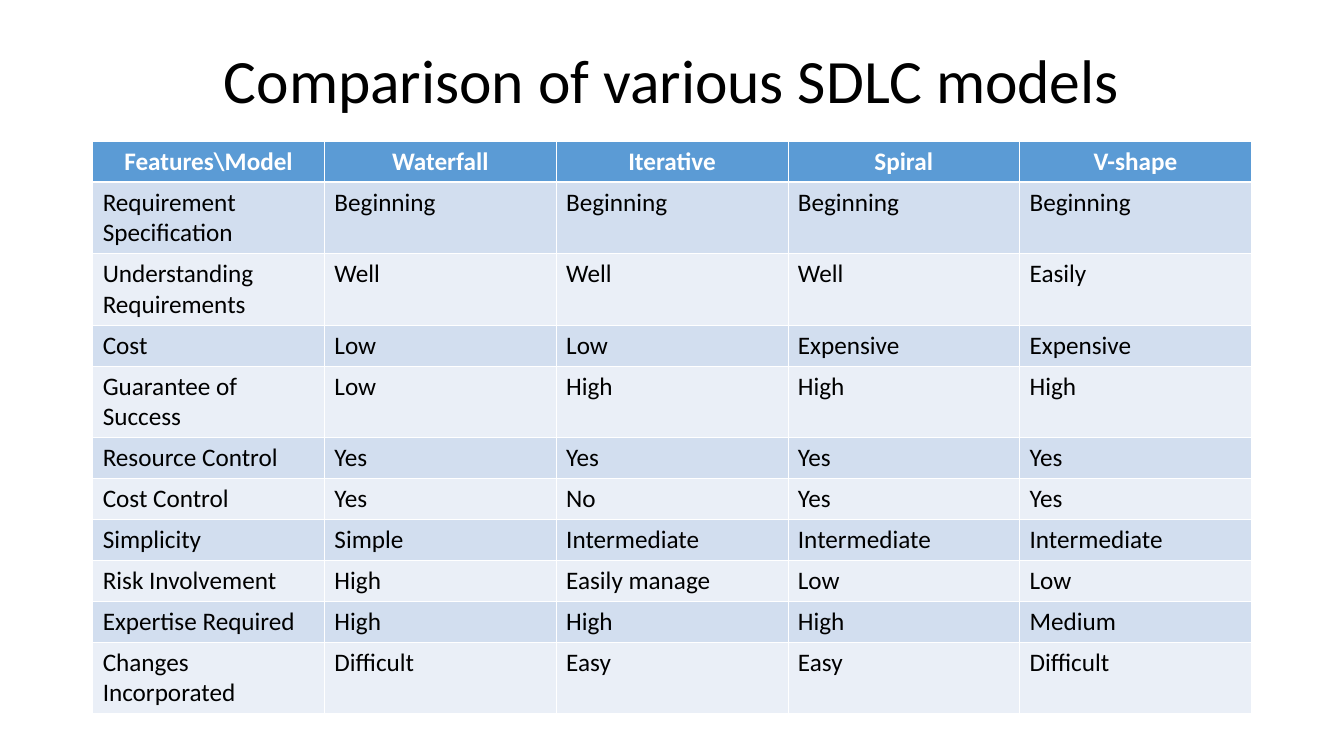
from lxml.etree import SubElement
from pptx import Presentation
from pptx.dml.color import RGBColor
from pptx.enum.text import MSO_ANCHOR, MSO_AUTO_SIZE, PP_ALIGN
from pptx.oxml.ns import qn
from pptx.util import Inches, Pt

COLORS = {
    "text": "000000",
    "white": "FFFFFF",
    "header": "5B9BD5",
    "odd_row": "D2DEEF",
    "even_row": "EAEFF7",
}

MODELS = ["Features\\Model", "Waterfall", "Iterative", "Spiral", "V-shape"]
FEATURES = [
    ["Requirement\nSpecification", "Beginning", "Beginning", "Beginning", "Beginning"],
    ["Understanding\nRequirements", "Well", "Well", "Well", "Easily"],
    ["Cost", "Low", "Low", "Expensive", "Expensive"],
    ["Guarantee of\nSuccess", "Low", "High", "High", "High"],
    ["Resource Control", "Yes", "Yes", "Yes", "Yes"],
    ["Cost Control", "Yes", "No", "Yes", "Yes"],
    ["Simplicity", "Simple", "Intermediate", "Intermediate", "Intermediate"],
    ["Risk Involvement", "High", "Easily manage", "Low", "Low"],
    ["Expertise Required", "High", "High", "High", "Medium"],
    ["Changes\nIncorporated", "Difficult", "Easy", "Easy", "Difficult"],
]


class ComparisonSlide:
    font = "Calibri"
    left, width = 0.92, 11.5
    thin, thick = 0.45, 1.47

    def __init__(self, presentation):
        self.slide = presentation.slides.add_slide(presentation.slide_layouts[5])

    def format_text(self, frame, size, color, bold=False, align=PP_ALIGN.LEFT):
        for paragraph in frame.paragraphs:
            paragraph.alignment = align
            for run in paragraph.runs:
                run.font.name = self.font
                run.font.size = Pt(size)
                run.font.bold = bold
                run.font.color.rgb = RGBColor.from_string(COLORS[color])

    def add_title(self, words, top, height):
        title = self.slide.shapes.title
        title.left, title.top = Inches(self.left), Inches(top)
        title.width, title.height = Inches(self.width), Inches(height)
        frame = title.text_frame
        frame.text = words
        frame.auto_size = MSO_AUTO_SIZE.NONE
        frame.vertical_anchor = MSO_ANCHOR.MIDDLE
        frame.paragraphs[0].line_spacing = 0.9
        self.format_text(frame, 44, "text", align=PP_ALIGN.CENTER)

    def add_borders(self, cell, top, bottom):
        """Draw white cell edges; top and bottom are widths in points."""
        properties = cell._tc.get_or_add_tcPr()
        edges = {"lnL": self.thin, "lnR": self.thin, "lnT": top, "lnB": bottom}
        for edge, points in edges.items():
            line = SubElement(properties, qn(f"a:{edge}"), w=str(Pt(points)))
            fill = SubElement(line, qn("a:solidFill"))
            SubElement(fill, qn("a:srgbClr"), val=COLORS["white"])

    def add_table(self, rows, top, line_height, padding):
        """Size each row by the number of text lines in its first cell."""
        heights = [padding + line_height * len(row[0].split("\n")) for row in rows]
        table = self.slide.shapes.add_table(
            len(rows), len(rows[0]), Inches(self.left), Inches(top),
            Inches(self.width), Inches(sum(heights))).table
        for index, (row, height) in enumerate(zip(rows, heights)):
            table.rows[index].height = Inches(height)
            for cell, words in zip(table.rows[index].cells, row):
                self.fill_cell(cell, words, index)

    def fill_cell(self, cell, words, row_index):
        header = row_index == 0
        cell.text_frame.text = words
        if header:
            self.format_text(cell.text_frame, 18, "white", True, PP_ALIGN.CENTER)
        else:
            self.format_text(cell.text_frame, 18, "text")
        self.add_borders(cell,
                         top=self.thick if row_index == 1 else self.thin,
                         bottom=self.thick if header else self.thin)
        band = "header" if header else "odd_row" if row_index % 2 else "even_row"
        cell.fill.solid()
        cell.fill.fore_color.rgb = RGBColor.from_string(COLORS[band])


def main():
    presentation = Presentation()
    presentation.slide_width, presentation.slide_height = Inches(13.34), Inches(7.5)
    comparison = ComparisonSlide(presentation)
    comparison.add_title("Comparison of various SDLC models", top=0.4, height=0.85)
    comparison.add_table([MODELS] + FEATURES, top=1.4, line_height=0.3, padding=0.1)
    presentation.save("out.pptx")


if __name__ == "__main__":
    main()
